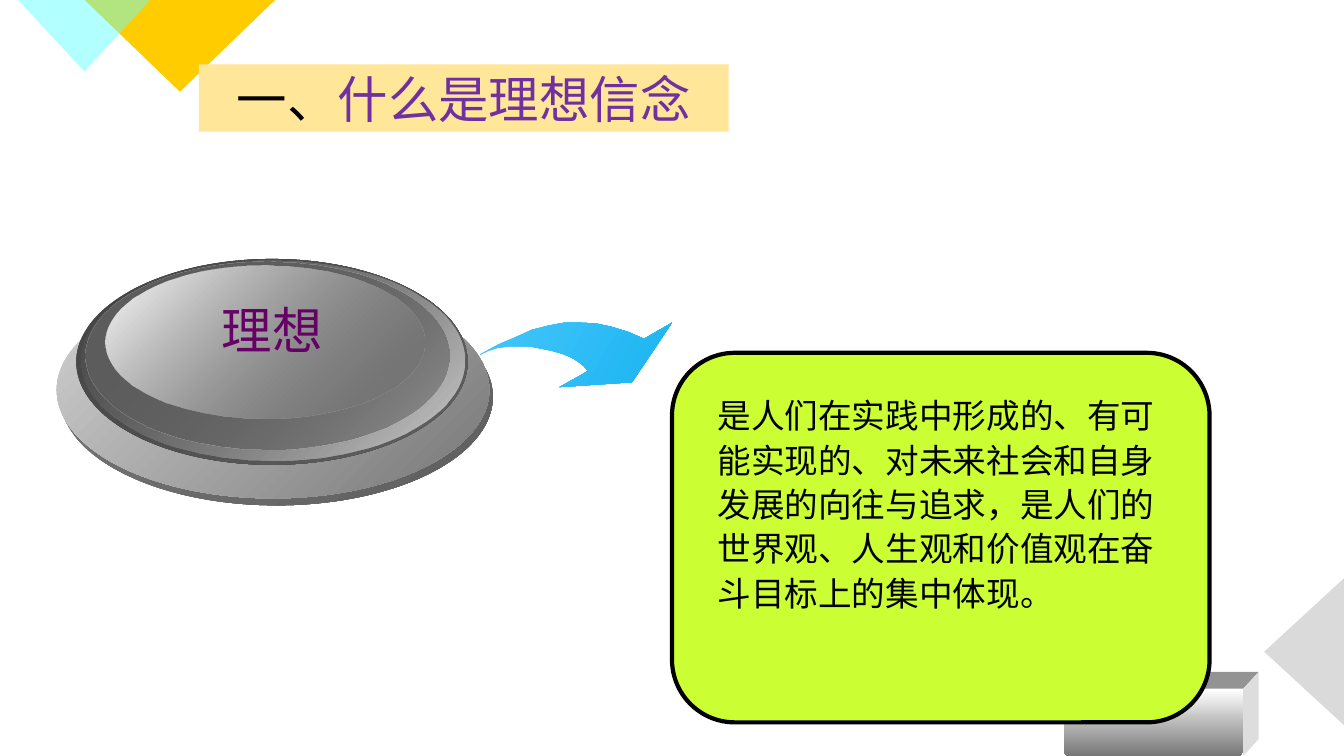
"""Builds a slide that defines ideals with a layered button, an arrow and a note."""
from lxml import etree
from pptx import Presentation
from pptx.dml.color import RGBColor
from pptx.enum.shapes import MSO_SHAPE
from pptx.enum.text import MSO_ANCHOR, MSO_AUTO_SIZE, PP_ALIGN
from pptx.oxml.ns import qn
from pptx.util import Pt

TRIANGLE, OVAL = MSO_SHAPE.ISOSCELES_TRIANGLE, MSO_SHAPE.OVAL
RECTANGLE, ROUNDED = MSO_SHAPE.RECTANGLE, MSO_SHAPE.ROUNDED_RECTANGLE
TOP, MIDDLE = MSO_ANCHOR.TOP, MSO_ANCHOR.MIDDLE
LEFT, CENTER = PP_ALIGN.LEFT, PP_ALIGN.CENTER
NO_FIT = MSO_AUTO_SIZE.NONE

BLACK = RGBColor(0x00, 0x00, 0x00)
WHITE = RGBColor(0xFF, 0xFF, 0xFF)
GOLD = RGBColor(0xFF, 0xCC, 0x00)
CYAN = RGBColor(0x66, 0xFF, 0xFF)
CREAM = RGBColor(0xFF, 0xE6, 0x99)
LIME = RGBColor(0xCC, 0xFF, 0x33)
PURPLE = RGBColor(0x70, 0x30, 0xA0)
PLUM = RGBColor(0x66, 0x00, 0x66)
SKY_LIGHT = RGBColor(0x45, 0xC6, 0xFA)
SKY = RGBColor(0x1A, 0xB4, 0xF2)
SILVER = RGBColor(0xB7, 0xB7, 0xB7)
PALE = RGBColor(0xDD, 0xDD, 0xDD)
LIGHT = RGBColor(0xD1, 0xD1, 0xD1)
SHADE = RGBColor(0x93, 0x93, 0x93)
GRAY = RGBColor(0x77, 0x77, 0x77)
SLATE = RGBColor(0x5F, 0x5F, 0x5F)
CHARCOAL = RGBColor(0x44, 0x44, 0x44)

BUTTON_LAYERS = [
    ((43, 206, 309, 155), (GRAY, SLATE), (100, 100)),
    ((40.5, 201, 309, 155), (LIGHT, GRAY), (100, 100)),
    ((54.5, 185, 279.5, 147), (CHARCOAL, SLATE), (100, 100)),
    ((58.5, 186, 273, 143), (SLATE, LIGHT), (0, 100)),
    ((61, 187, 260, 134), (SLATE, SLATE), (100, 48)),
    ((75, 190, 228, 109), (WHITE, SLATE), (100, 38)),
]
ARROW = [
    (343, 253), (356, 246), (369, 240.5), (380, 235.5), (392, 232.5),
    (403, 230.5), (415, 230.5), (425.5, 231), (437, 233.5), (448.5, 237),
    (460, 242), (480, 230.5), (451.5, 273), (399.5, 276.5), (420, 265),
    (417, 261.5), (412.5, 258), (407.5, 255), (401, 252.5), (394, 250.5),
    (386.5, 249), (378.5, 247.5), (371, 247.5), (363, 247.5),
    (355.5, 248.5), (349, 250.5), (343, 253.5),
]
NOTE = ("是人们在实践中形成的、有可能实现的、对未来社会和自身发展的向往与追求，"
        "是人们的世界观、人生观和价值观在奋斗目标上的集中体现。")


class SlideArtist:
    """Holds the current slide and its text style, and draws on it in points."""

    def __init__(self, page, font="Calibri"):
        self.page = page
        self.font = font

    def paint(self, shape, colors, angle=0, alphas=()):
        """Fills a shape with one colour, or with a gradient of two."""
        shape.shadow.inherit = False
        shape.line.fill.background()
        if len(colors) == 1:
            shape.fill.solid()
            shape.fill.fore_color.rgb = colors[0]
        else:
            shape.fill.gradient()
            shape.fill.gradient_angle = (360 - angle) % 360
            for stop, color in zip(shape.fill.gradient_stops, colors):
                stop.color.rgb = color
        tags = list(shape.element.spPr.iter(qn("a:srgbClr")))
        for tag, alpha in zip(tags, alphas):
            etree.SubElement(tag, qn("a:alpha")).set("val", str(alpha * 1000))
        return shape

    def shape(self, kind, place, colors, rotation=0, radius=None, **paint):
        """Adds a filled preset shape."""
        shape = self.page.shapes.add_shape(kind, *map(Pt, place))
        shape.rotation = rotation
        if radius is not None:
            shape.adjustments[0] = radius
        return self.paint(shape, colors, **paint)

    def outline(self, points, colors, **paint):
        """Adds a filled closed polygon."""
        start, *rest = [(Pt(x), Pt(y)) for x, y in points]
        builder = self.page.shapes.build_freeform(*start)
        builder.add_line_segments(rest, close=True)
        return self.paint(builder.convert_to_shape(), colors, **paint)

    def letter(self, box, spans, size, anchor=TOP, align=LEFT, wrap=True,
               spacing=1.0, font=None):
        """Sets one paragraph of coloured spans in a box."""
        frame = box.text_frame
        formats = {"word_wrap": wrap, "auto_size": NO_FIT,
                   "vertical_anchor": anchor}
        for name, value in formats.items():
            setattr(frame, name, value)
        para = frame.paragraphs[0]
        para.alignment, para.line_spacing = align, spacing
        for text, color in spans:
            span = para.add_run()
            span.text = text
            span.font.color.rgb = color
            for name, value in {"size": Pt(size), "name": font or self.font}.items():
                setattr(span.font, name, value)

    def text(self, place, spans, size, **style):
        """Adds a text box."""
        box = self.page.shapes.add_textbox(*map(Pt, place))
        self.letter(box, spans, size, **style)

    def title(self, place, spans, size, color):
        """Places the title in front of what is drawn so far."""
        title = self.page.shapes.title
        self.page.shapes.element.append(title.element)
        for name, value in zip(("left", "top", "width", "height"), place):
            setattr(title, name, Pt(value))
        title.fill.solid()
        title.fill.fore_color.rgb = color
        self.letter(title, spans, size, anchor=MIDDLE, align=CENTER)


def main():
    """Draws the slide and saves the deck."""
    deck = Presentation()
    deck.slide_width, deck.slide_height = Pt(960), Pt(540)
    artist = SlideArtist(deck.slides.add_slide(deck.slide_layouts[5]))

    artist.shape(TRIANGLE, (60.5, 0, 136, 65.5), [GOLD], rotation=180)
    artist.shape(TRIANGLE, (13, 0, 94.5, 51), [CYAN], rotation=180, alphas=[50])
    artist.shape(TRIANGLE, (879, 437, 105, 57), [SILVER], rotation=270, alphas=[50])

    artist.outline([(760, 492), (772, 480), (899, 480), (888, 492)], [SHADE])
    artist.outline([(888, 492), (899, 480), (899, 528), (888, 540)], [PALE])
    artist.shape(ROUNDED, (760, 492, 128, 48), [WHITE, GRAY], radius=0.08, angle=90)

    artist.title((142, 46, 378.5, 48),
                 [("一、", BLACK), ("什么是理想信念", PURPLE)], 36, CREAM)

    artist.outline(ARROW, [SKY_LIGHT, SKY], angle=30)
    panel = artist.shape(ROUNDED, (480, 252, 384, 264), [LIME], radius=0.17)
    panel.line.color.rgb = BLACK
    panel.line.width = Pt(3)
    artist.shape(RECTANGLE, (505.5, 271.5, 342.5, 24.5), [LIME])
    artist.text((505.5, 276, 342.5, 167), [(NOTE, BLACK)], 24, spacing=1.1)

    for place, colors, alphas in BUTTON_LAYERS:
        artist.shape(OVAL, place, colors, angle=45, alphas=alphas)
    artist.text((151, 210, 87, 51), [("理想", PLUM)], 36,
                align=CENTER, wrap=False, font="Arial")

    deck.save("out.pptx")


if __name__ == "__main__":
    main()
